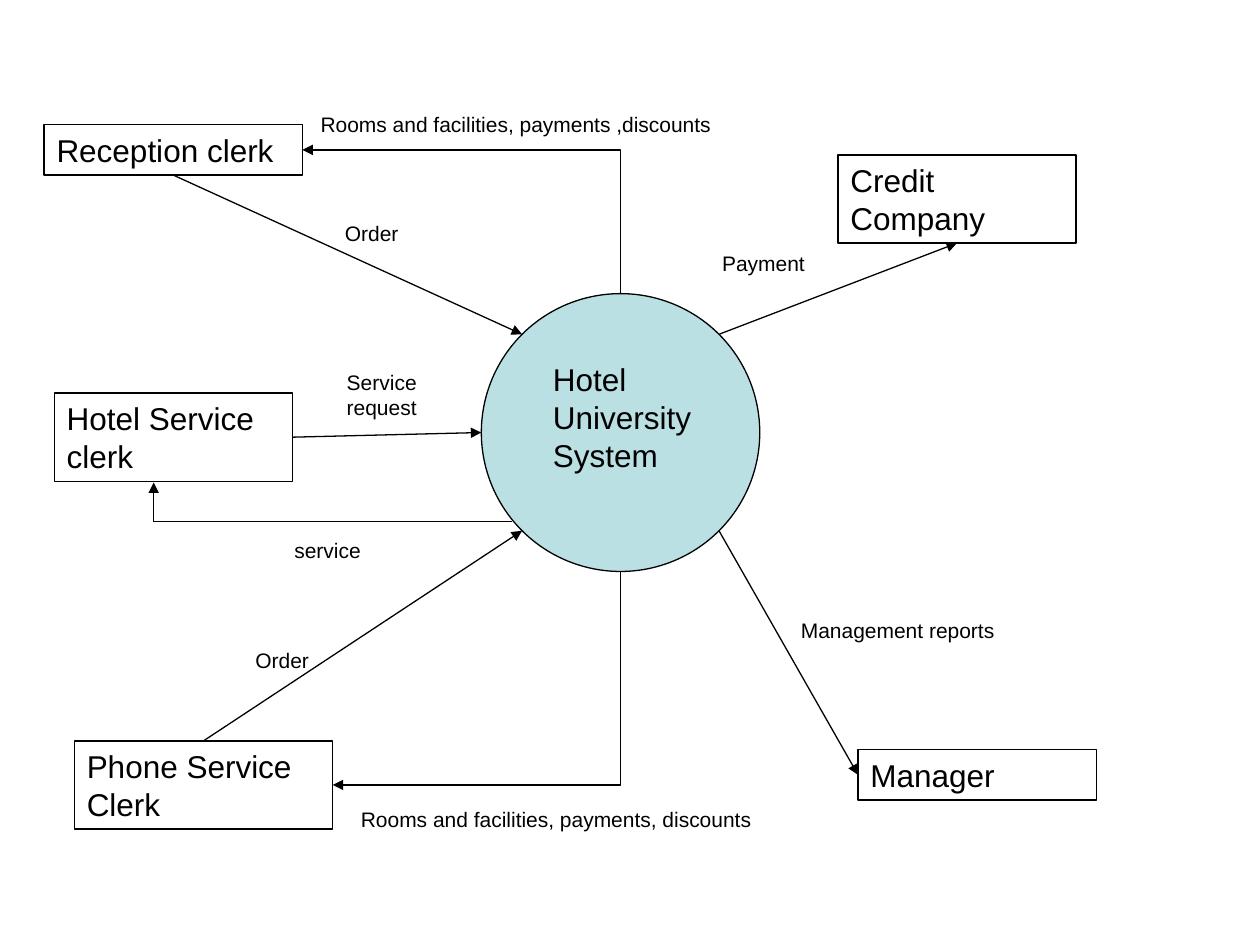
from math import sqrt

from lxml import etree
from pptx import Presentation
from pptx.dml.color import RGBColor
from pptx.enum.shapes import MSO_CONNECTOR, MSO_SHAPE
from pptx.enum.text import MSO_ANCHOR, PP_ALIGN
from pptx.oxml.ns import qn
from pptx.util import Inches, Pt

STRAIGHT, ELBOW = MSO_CONNECTOR.STRAIGHT, MSO_CONNECTOR.ELBOW
RECT, OVAL = MSO_SHAPE.RECTANGLE, MSO_SHAPE.OVAL
LEFT, CENTER, TOP = PP_ALIGN.LEFT, PP_ALIGN.CENTER, MSO_ANCHOR.TOP
SIDE_TOP, SIDE_LEFT, SIDE_BOTTOM, SIDE_RIGHT = range(4)

FONT = "Arial"
COLORS = {"ink": "000000", "system": "BBE0E3"}
WIDTH, HEIGHT = Inches(10), Inches(7.5)

# Boxes: left, top, width, height in percent of the slide
PARTIES = {
    "Hotel Service clerk": (4.3, 41.6, 18.9, 9.33),
    "Credit Company": (66.5, 16.4, 18.9, 9.33),
    "Manager": (68.1, 79.33, 18.9, 5.33),
    "Reception clerk": (3.5, 13.2, 20.5, 5.33),
    "Phone Service Clerk": (5.9, 78.4, 20.5, 9.33),
}
FLOW_LABELS = [
    ("Management reports", (61.8, 64.67, 18.9, 4)),
    ("Order", (18.9, 67.87, 7, 4)),
    ("Payment", (53.1, 25.87, 15, 4)),
    ("Order", (26, 22.67, 7, 4)),
    ("Rooms and facilities, payments ,discounts", (24, 11.2, 33.9, 4)),
    ("Rooms and facilities, payments, discounts", (27.2, 84.67, 33.9, 4)),
    ("Service request", (24, 38.4, 12.6, 6.67)),
    ("service", (13.8, 56.27, 24.4, 4)),
]


def color(name):
    return RGBColor.from_string(COLORS[name])


def point(x, y):
    return round(WIDTH * x / 100), round(HEIGHT * y / 100)


def area(left, top, width, height):
    return (*point(left, top), *point(width, height))


def write(sp, text, size=18, align=LEFT):
    tf = sp.text_frame
    tf.word_wrap = True
    tf.vertical_anchor = TOP
    p = tf.paragraphs[0]
    p.alignment = align
    r = p.add_run()
    r.text = text
    r.font.name, r.font.size = FONT, Pt(size)
    r.font.color.rgb = color("ink")


def add_label(s, text, box, **style):
    write(s.shapes.add_textbox(*area(*box)), text, **style)


def add_outline(s, kind, box, fill=None):
    sp = s.shapes.add_shape(kind, *area(*box))
    sp.shadow.inherit = False
    if fill:
        sp.fill.solid()
        sp.fill.fore_color.rgb = color(fill)
    else:
        sp.fill.background()
    sp.line.color.rgb = color("ink")
    sp.line.width = Pt(0.75)
    return sp


def add_line(s, start, end, kind=STRAIGHT, arrow=True):
    line = s.shapes.add_connector(kind, *start, *end)
    line.line.color.rgb = color("ink")
    line.line.width = Pt(0.75)
    spPr = line._element.spPr
    if arrow:
        etree.SubElement(spPr.find(qn("a:ln")), qn("a:tailEnd"), type="triangle")
    etree.SubElement(spPr, qn("a:effectLst"))
    return line


def add_corner(s, start, end):
    """Arrow that leaves vertically and turns left once."""
    line = add_line(s, start, end, ELBOW)
    (x1, y1), (x2, y2) = start, end
    run, rise = abs(x2 - x1), abs(y2 - y1)
    line.left, line.top = (x1 + x2 - rise) // 2, (y1 + y2 - run) // 2
    line.width, line.height = rise, run
    spPr = line._element.spPr
    spPr.find(qn("a:prstGeom")).set("prst", "bentConnector2")
    xfrm = spPr.find(qn("a:xfrm"))
    for flip in ("flipH", "flipV"):
        xfrm.attrib.pop(flip, None)
    upward = y2 < y1
    xfrm.set("rot", str((270 if upward else 90) * 60000))
    if upward:
        xfrm.set("flipV", "1")


def rim(sp, dx, dy):
    """Point on the oval in the direction dx, dy."""
    scale = 2 * sqrt(dx * dx + dy * dy)
    return (round(sp.left + sp.width * (0.5 + dx / scale)),
            round(sp.top + sp.height * (0.5 + dy / scale)))


def right_side(sp):
    return sp.left + sp.width, sp.top + sp.height // 2


def main():
    prs = Presentation()
    prs.slide_width, prs.slide_height = WIDTH, HEIGHT
    s = prs.slides.add_slide(prs.slide_layouts[6])

    # Central system
    system = add_outline(s, OVAL, (38.2, 31.07, 22.1, 29.4), fill="system")
    add_label(s, "Hotel University System", (42.9, 37.47, 13.4, 13.33))

    # People and organisations around it
    boxes = {}
    for name, box in PARTIES.items():
        boxes[name] = add_outline(s, RECT, box)
        write(boxes[name], name)

    # Flows into the system
    for name, side, direction in [
        ("Hotel Service clerk", SIDE_RIGHT, (-1, 0)),
        ("Reception clerk", SIDE_BOTTOM, (-1, -1)),
        ("Phone Service Clerk", SIDE_TOP, (-1, 1)),
    ]:
        end = rim(system, *direction)
        add_line(s, end, end).begin_connect(boxes[name], side)

    # Flows out of the system
    for name, side, direction in [
        ("Credit Company", SIDE_BOTTOM, (1, -1)),
        ("Manager", SIDE_LEFT, (1, 1)),
    ]:
        start = rim(system, *direction)
        add_line(s, start, start).end_connect(boxes[name], side)
    for name, dy in [("Phone Service Clerk", 1), ("Reception clerk", -1)]:
        add_corner(s, rim(system, 0, dy), right_side(boxes[name]))

    # Service flow back to the hotel service clerk
    turn = point(12.2, 55.2)
    add_line(s, point(40.6, 55.2), turn, arrow=False)
    add_line(s, turn, point(12.2, 51.07))

    # Flow names
    for text, box in FLOW_LABELS:
        add_label(s, text, box, size=12, align=CENTER)

    prs.save("out.pptx")


if __name__ == "__main__":
    main()
